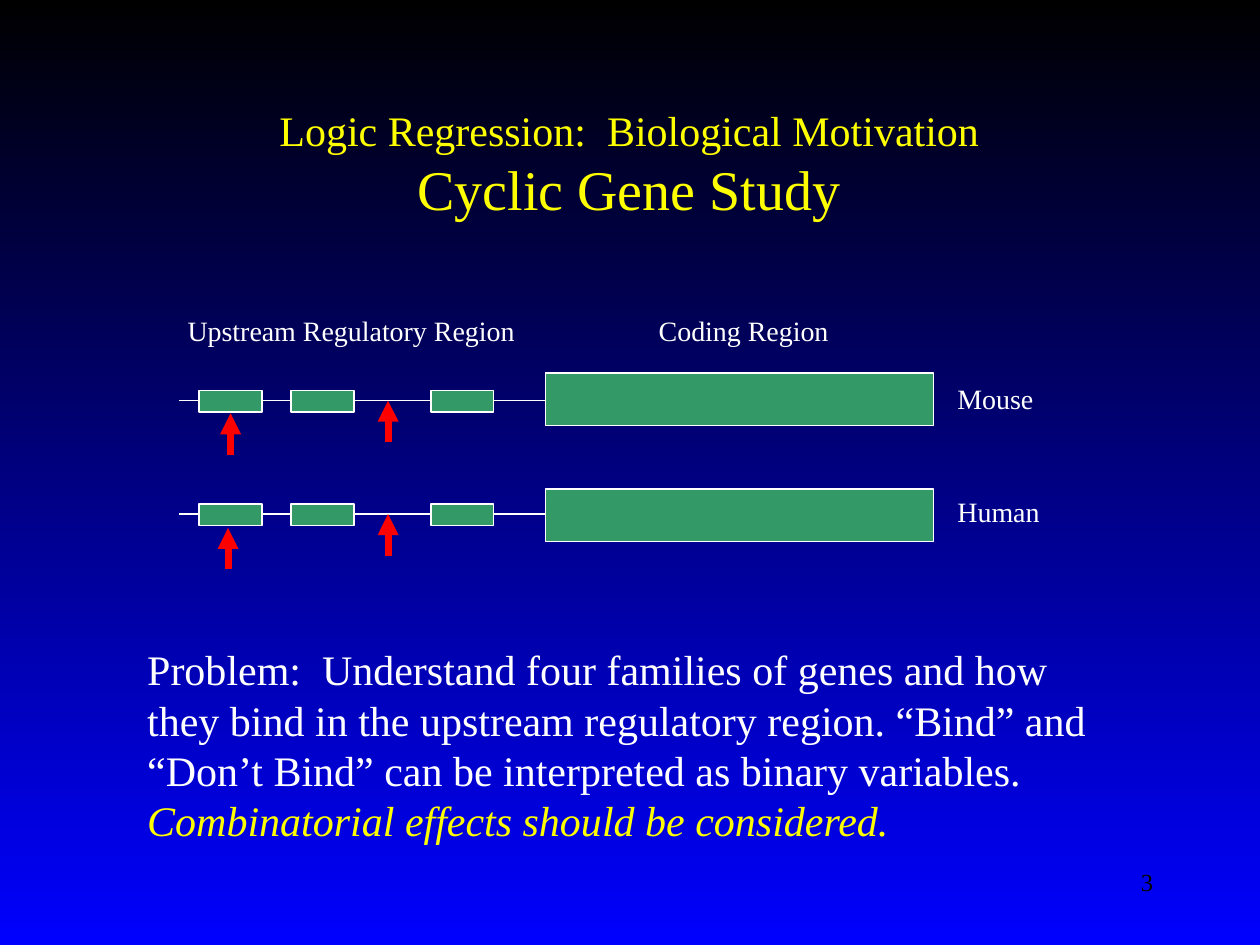
"""Build the cyclic gene study slide."""
import pptx
import pptx.dml.color
import pptx.enum.shapes
import pptx.enum.text
import pptx.oxml.ns
import pptx.util
from lxml import etree
from pptx.util import Inches

HUES = {"top": "000000", "base": "0000FF", "gold": "FFFF00",
        "pale": "FFFFFF", "gene": "339966", "mark": "FF0000"}
FACE = "Times New Roman"
ALIGN = pptx.enum.text.PP_ALIGN
ANCHOR = pptx.enum.text.MSO_ANCHOR
FIT = pptx.enum.text.MSO_AUTO_SIZE


def hue(name):
    """Return a named colour."""
    return pptx.dml.color.RGBColor.from_string(HUES[name])


def assign(item, **form):
    """Set each format value on an item."""
    for key, val in form.items():
        setattr(item, key, val)


def place(shape, *spot):
    """Move and size a shape in inches."""
    sides = ("left", "top", "width", "height")
    assign(shape, **dict(zip(sides, map(Inches, spot))))


def write(para, text, size, tint, **form):
    """Add a formatted run to a paragraph."""
    run = para.add_run()
    run.text = text
    assign(run.font, name=FACE, size=pptx.util.Pt(size), **form)
    run.font.color.rgb = hue(tint)


def paint(slide):
    """Fade the background from top to bottom."""
    fill = slide.background.fill
    fill.gradient()
    fill.gradient_angle = 270
    for stop, name, part in zip(fill.gradient_stops, ("top", "base"), (0, 1)):
        stop.color.rgb = hue(name)
        stop.position = part


def head(slide, first, second):
    """Fill the title with a small and a large line."""
    title = slide.shapes.title
    place(title, 0.58, 0.67, 8.83, 1.25)
    frame = title.text_frame
    assign(frame, auto_size=FIT.NONE, vertical_anchor=ANCHOR.MIDDLE, word_wrap=True)
    para = frame.paragraphs[0]
    para.alignment = ALIGN.CENTER
    write(para, first, 24, "gold")
    para.add_line_break()
    etree.SubElement(para._p[-1], pptx.oxml.ns.qn("a:rPr"), sz="2400")
    write(para, second, 32, "gold")


def label(slide, spot, lines, size=16, tint="pale", align=ALIGN.LEFT, wrap=True):
    """Add a text box with one paragraph per line."""
    box = slide.shapes.add_textbox(*map(Inches, spot))
    frame = box.text_frame
    assign(frame, word_wrap=wrap, auto_size=FIT.NONE)
    for num, (text, form) in enumerate(lines):
        para = frame.add_paragraph() if num else frame.paragraphs[0]
        para.alignment = align
        write(para, text, size, **{"tint": tint, **form})


def block(slide, *spot):
    """Add a green gene box."""
    kind = pptx.enum.shapes.MSO_SHAPE.RECTANGLE
    box = slide.shapes.add_shape(kind, *map(Inches, spot))
    box.shadow.inherit = False
    box.fill.solid()
    box.fill.fore_color.rgb = hue("gene")
    box.line.color.rgb = hue("pale")
    box.line.width = pptx.util.Pt(0.75)


def line(slide, spot, tint, width, arrow=False):
    """Add a straight line, with an arrowhead at its end if asked."""
    kind = pptx.enum.shapes.MSO_CONNECTOR.STRAIGHT
    link = slide.shapes.add_connector(kind, *map(Inches, spot))
    link.line.color.rgb = hue(tint)
    link.line.width = pptx.util.Pt(width)
    if arrow:
        etree.SubElement(link.line._ln, pptx.oxml.ns.qn("a:tailEnd"), type="triangle")
    etree.SubElement(link._element.spPr, pptx.oxml.ns.qn("a:effectLst"))


def strand(slide, name, axis, top, wide, marks):
    """Draw the gene strand of one species."""
    line(slide, (4.33, axis, 1.42, axis), "pale", 0.75)
    block(slide, 4.33, top, 3.08, 0.42)
    for left in (1.58, 2.31, 3.42):
        block(slide, left, axis - 0.08, 0.5, 0.17)
    for left, tip in marks:
        line(slide, (left, tip + 0.33, left, tip), "mark", 4, True)
    label(slide, (7.5, axis - 0.2, wide, 0.37), [(name, {})], wrap=False)


def main():
    """Build and save the slide."""
    deck = pptx.Presentation()
    assign(deck, slide_width=Inches(10), slide_height=Inches(7.5))
    slide = deck.slides.add_slide(deck.slide_layouts[5])
    paint(slide)
    head(slide, "Logic Regression:  Biological Motivation", "Cyclic Gene Study")
    label(slide, (1.39, 2.44, 2.83, 0.37), [("Upstream Regulatory Region", {})])
    label(slide, (5.13, 2.44, 1.67, 0.37), [("Coding Region", {})])
    strand(slide, "Mouse", 3.18, 2.96, 0.8, [(1.83, 3.28), (3.08, 3.18)])
    strand(slide, "Human", 4.08, 3.88, 0.85, [(1.81, 4.19), (3.08, 4.08)])
    label(slide, (1.07, 5.06, 7.77, 1.7), [
        ("Problem:  Understand four families of genes and how", {}),
        ("they bind in the upstream regulatory region. “Bind” and "
         "“Don’t Bind” can be interpreted as binary variables.", {}),
        ("Combinatorial effects should be considered.",
         {"tint": "gold", "italic": True})], 24)
    label(slide, (7.17, 6.83, 2.08, 0.5), [("3", {})], 14, "top", ALIGN.RIGHT)
    deck.save("out.pptx")


if __name__ == "__main__":
    main()
